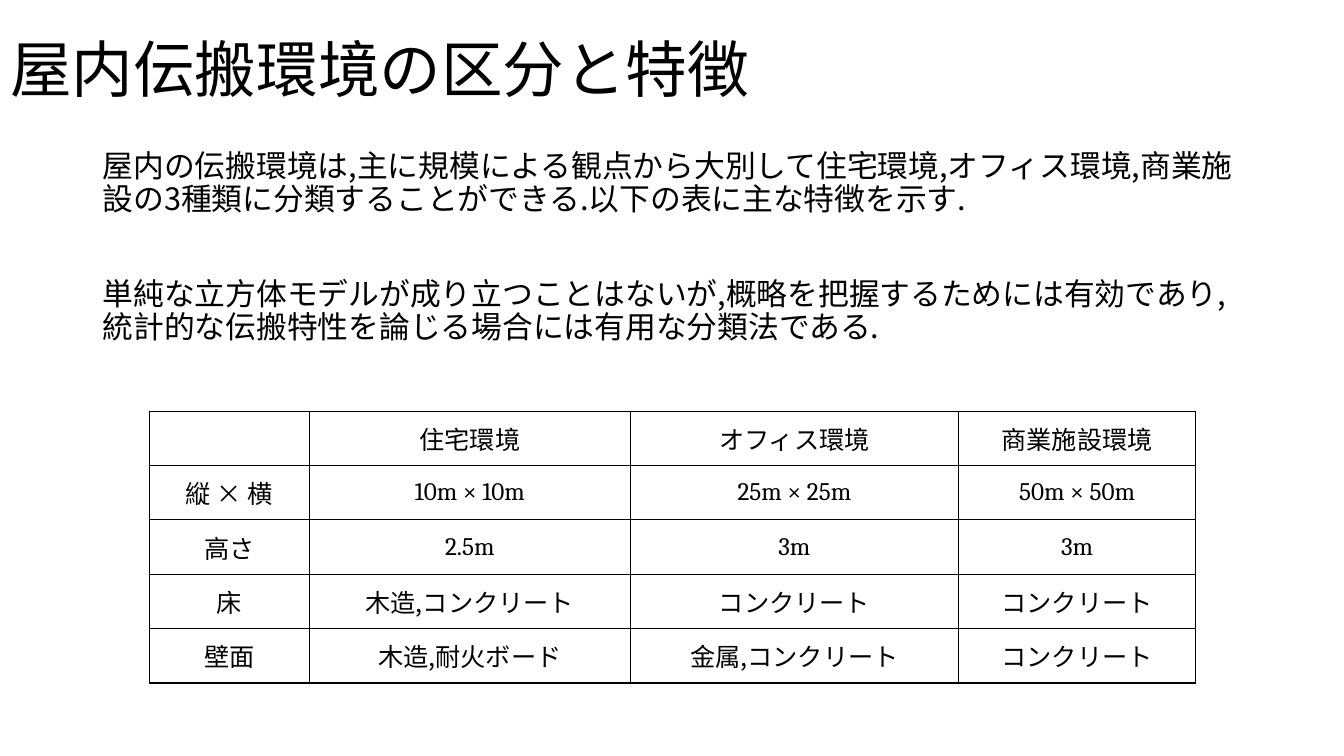
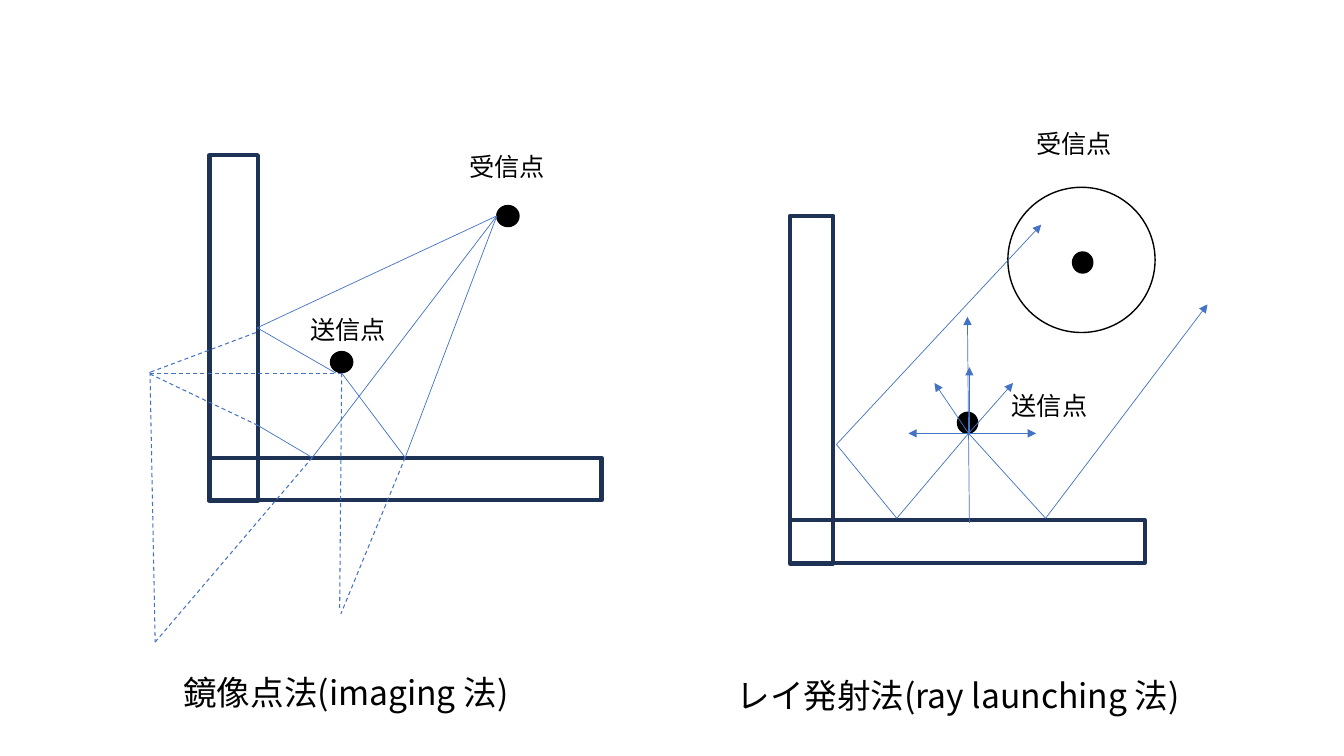
from pptx import Presentation
from pptx.dml.color import RGBColor
from pptx.enum.dml import MSO_LINE
from pptx.enum.shapes import MSO_CONNECTOR, MSO_SHAPE
from pptx.enum.text import MSO_ANCHOR, MSO_AUTO_SIZE, PP_ALIGN
from pptx.oxml.ns import qn
from pptx.util import Cm, Pt
from lxml.etree import SubElement

BLACK = RGBColor(0x00, 0x00, 0x00)
NAVY = RGBColor(0x1E, 0x32, 0x56)
BLUE = RGBColor(0x44, 0x72, 0xC4)
SANS = "Noto Sans CJK JP"
SERIF = "Cambria"

TITLE = "屋内伝搬環境の区分と特徴"
BODY = [
    "屋内の伝搬環境は,主に規模による観点から大別して住宅環境,オフィス環境,商業施設の3種類に分類することができる.以下の表に主な特徴を示す.",
    "単純な立方体モデルが成り立つことはないが,概略を把握するためには有効であり,統計的な伝搬特性を論じる場合には有用な分類法である.",
]
ROWS = [
    ("", "住宅環境", "オフィス環境", "商業施設環境"),
    ("縦 × 横", "10m × 10m", "25m × 25m", "50m × 50m"),
    ("高さ", "2.5m", "3m", "3m"),
    ("床", "木造,コンクリート", "コンクリート", "コンクリート"),
    ("壁面", "木造,耐火ボード", "金属,コンクリート", "コンクリート"),
]
WIDTHS = (4.04, 8.08, 8.28, 5.97)
ROW_H = 1.37

WALLS = [
    (5.28, 3.91, 1.22, 8.71), (5.28, 11.54, 9.88, 1.07),
    (19.91, 5.44, 1.09, 8.76), (19.91, 13.11, 8.94, 1.07),
]
DOTS = [
    (12.52, 5.18, 0.56, 0.53), (8.33, 8.86, 0.56, 0.53),
    (24.13, 10.39, 0.51, 0.53), (27.03, 6.35, 0.51, 0.53),
]
RING = (25.4, 4.72, 3.71, 3.66)
LABELS = [
    ("受信点", (9.65, 3.68, 6.27, 1.12), 18, PP_ALIGN.CENTER),
    ("送信点", (6.55, 7.8, 4.45, 1.12), 18, PP_ALIGN.CENTER),
    ("受信点", (25.86, 3.12, 2.79, 1.12), 18, PP_ALIGN.LEFT),
    ("送信点", (24.43, 9.7, 4.04, 1.12), 18, PP_ALIGN.CENTER),
    ("鏡像点法(imaging 法)", (4.37, 16.81, 9.6, 1.27), 24, PP_ALIGN.LEFT),
    ("レイ発射法(ray launching 法)", (18.31, 16.87, 13.28, 1.27), 24, PP_ALIGN.LEFT),
]

RX, TX = (12.52, 5.44), (8.61, 9.4)
WALL_HIT, WALL_LOW = (6.48, 8.26), (6.5, 10.72)
FLOOR_A, FLOOR_B = (7.87, 11.53), (10.21, 11.53)
SIDE, DEEP = (3.73, 9.4), (3.91, 16.18)
SOLID = [
    (RX, FLOOR_A), (FLOOR_A, WALL_LOW), (RX, FLOOR_B),
    (RX, WALL_HIT), ((8.46, 9.4), WALL_HIT), (TX, FLOOR_B),
]
DASHED = [
    (FLOOR_A, DEEP), (TX, (8.56, 15.32)), (TX, SIDE),
    ((6.45, 8.38), SIDE), (WALL_LOW, SIDE),
    ((3.78, 9.37), DEEP), (FLOOR_B, (8.59, 15.47)),
]

LAUNCH = (24.41, 10.92)
BOUNCE, FLOOR_C, FLOOR_D = (21.08, 11.2), (22.6, 13.06), (26.35, 13.06)
RAYS = [(FLOOR_C, LAUNCH), (FLOOR_C, BOUNCE), (FLOOR_D, LAUNCH)]
ARROWS = [
    (LAUNCH, (26.11, 10.92)), ((24.43, 13.18), (24.38, 7.98)),
    ((24.43, 10.92), (24.43, 9.25)), (LAUNCH, (25.53, 9.65)),
    (LAUNCH, (23.55, 9.65)), (LAUNCH, (22.89, 10.92)),
    (BOUNCE, (26.24, 5.66)), (FLOOR_D, (30.43, 7.67)),
]


def write(frame, *texts, size=18, font=SANS, align=PP_ALIGN.LEFT,
          anchor=MSO_ANCHOR.TOP, pitch=1.0, gaps=(0,)):
    frame.word_wrap = True
    frame.vertical_anchor = anchor
    for i, text in enumerate(texts):
        para = frame.add_paragraph() if i else frame.paragraphs[0]
        para.alignment = align
        para.line_spacing = pitch
        para.space_before = Pt(gaps[i])
        run = para.add_run()
        run.text = text
        run.font.size = Pt(size)
        run.font.name = font
        run.font.color.rgb = BLACK
        props = run.font._element
        SubElement(props, qn("a:ea")).set("typeface", font)


def label(slide, box, *texts, **style):
    frame = slide.shapes.add_textbox(*map(Cm, box)).text_frame
    write(frame, *texts, **style)


def draw(slide, kind, box, color, width, fill=None):
    shape = slide.shapes.add_shape(kind, *map(Cm, box))
    shape.shadow.inherit = False
    shape.line.color.rgb = color
    shape.line.width = Pt(width)
    if fill is None:
        shape.fill.background()
    else:
        shape.fill.solid()
        shape.fill.fore_color.rgb = fill


def link(slide, start, end, width=0.5, dash=False, arrow=False):
    line = slide.shapes.add_connector(
        MSO_CONNECTOR.STRAIGHT, *map(Cm, start + end))
    line.line.color.rgb = BLUE
    line.line.width = Pt(width)
    if dash:
        line.line.dash_style = MSO_LINE.DASH
    if arrow:
        SubElement(line.line._get_or_add_ln(), qn("a:tailEnd")).set("type", "triangle")
    SubElement(line._element.spPr, qn("a:effectLst"))


def border(cell):
    props = cell._tc.get_or_add_tcPr()
    for i, side in enumerate(("lnL", "lnR", "lnT", "lnB")):
        edge = props.makeelement(qn("a:" + side), {"w": str(Pt(1))})
        fill = SubElement(edge, qn("a:solidFill"))
        SubElement(fill, qn("a:srgbClr")).set("val", str(BLACK))
        props.insert(i, edge)


def grid(slide):
    frame = slide.shapes.add_table(
        len(ROWS), len(WIDTHS), Cm(3.76), Cm(10.36),
        Cm(sum(WIDTHS)), Cm(ROW_H * len(ROWS)))
    table = frame.table
    table.first_row = table.horz_banding = False
    for col, width in zip(table.columns, WIDTHS):
        col.width = Cm(width)
    for r, row in enumerate(ROWS):
        table.rows[r].height = Cm(ROW_H)
        for c, text in enumerate(row):
            cell = table.cell(r, c)
            cell.fill.background()
            border(cell)
            cell.vertical_anchor = MSO_ANCHOR.MIDDLE
            if text:
                font = SERIF if text[0].isdigit() else SANS
                write(cell.text_frame, text, font=font,
                      align=PP_ALIGN.CENTER, anchor=None)


def rooms(deck):
    slide = deck.slides.add_slide(deck.slide_layouts[5])
    title = slide.shapes.title
    title.left, title.top, title.width, title.height = map(Cm, (0, 0, 29.21, 3.68))
    title.text_frame.auto_size = MSO_AUTO_SIZE.NONE
    write(title.text_frame, TITLE, size=44, anchor=MSO_ANCHOR.MIDDLE, pitch=0.9)
    label(slide, (2.34, 3.68, 29.21, 6), *BODY, size=22, pitch=0.9, gaps=(10, 44))
    grid(slide)


def rays(deck):
    slide = deck.slides.add_slide(deck.slide_layouts[6])
    for box in WALLS:
        draw(slide, MSO_SHAPE.RECTANGLE, box, NAVY, 3)
    for box in DOTS:
        draw(slide, MSO_SHAPE.OVAL, box, BLACK, 1, fill=BLACK)
    draw(slide, MSO_SHAPE.OVAL, RING, BLACK, 1)
    for start, end in SOLID + RAYS:
        link(slide, start, end)
    for start, end in DASHED:
        link(slide, start, end, width=0.75, dash=True)
    for start, end in ARROWS:
        link(slide, start, end, arrow=True)
    for text, box, size, align in LABELS:
        label(slide, box, text, size=size, align=align)


def main():
    deck = Presentation()
    deck.slide_width, deck.slide_height = Cm(33.87), Cm(19.05)
    rooms(deck)
    rays(deck)
    deck.save("out.pptx")


if __name__ == "__main__":
    main()
